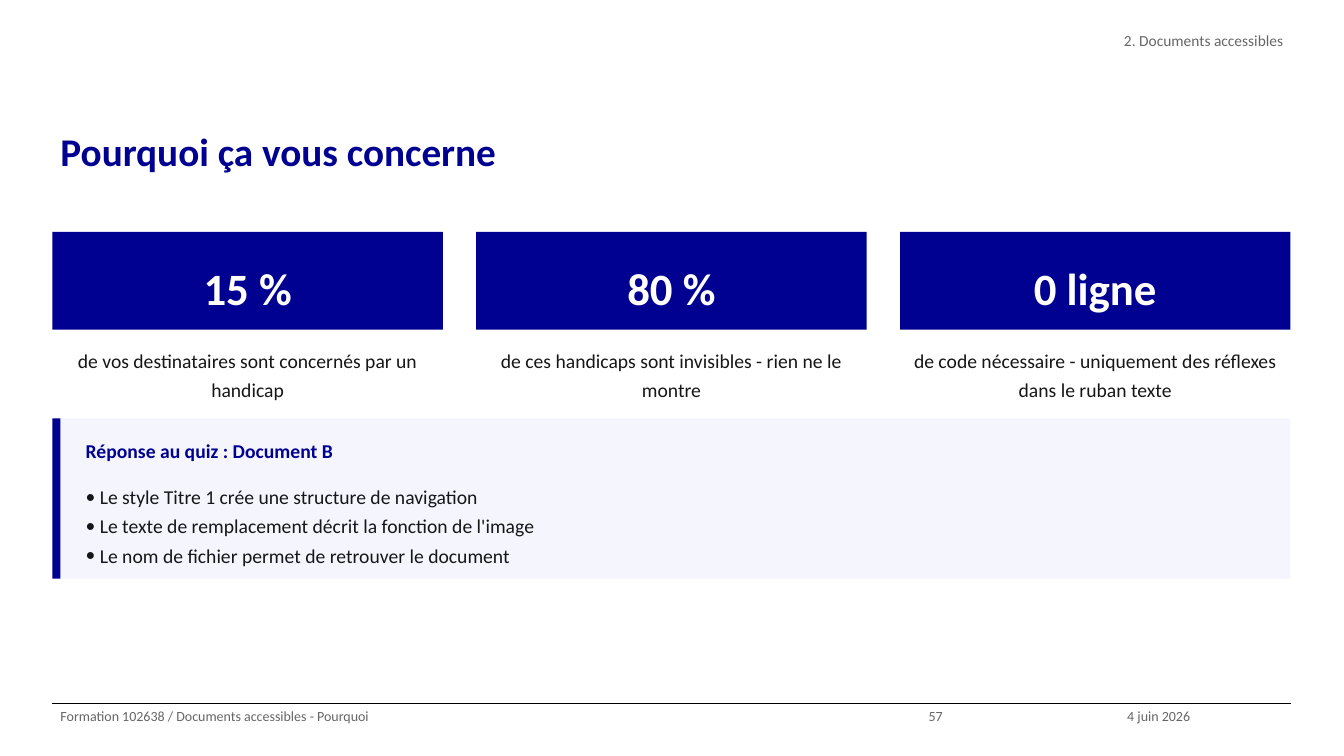
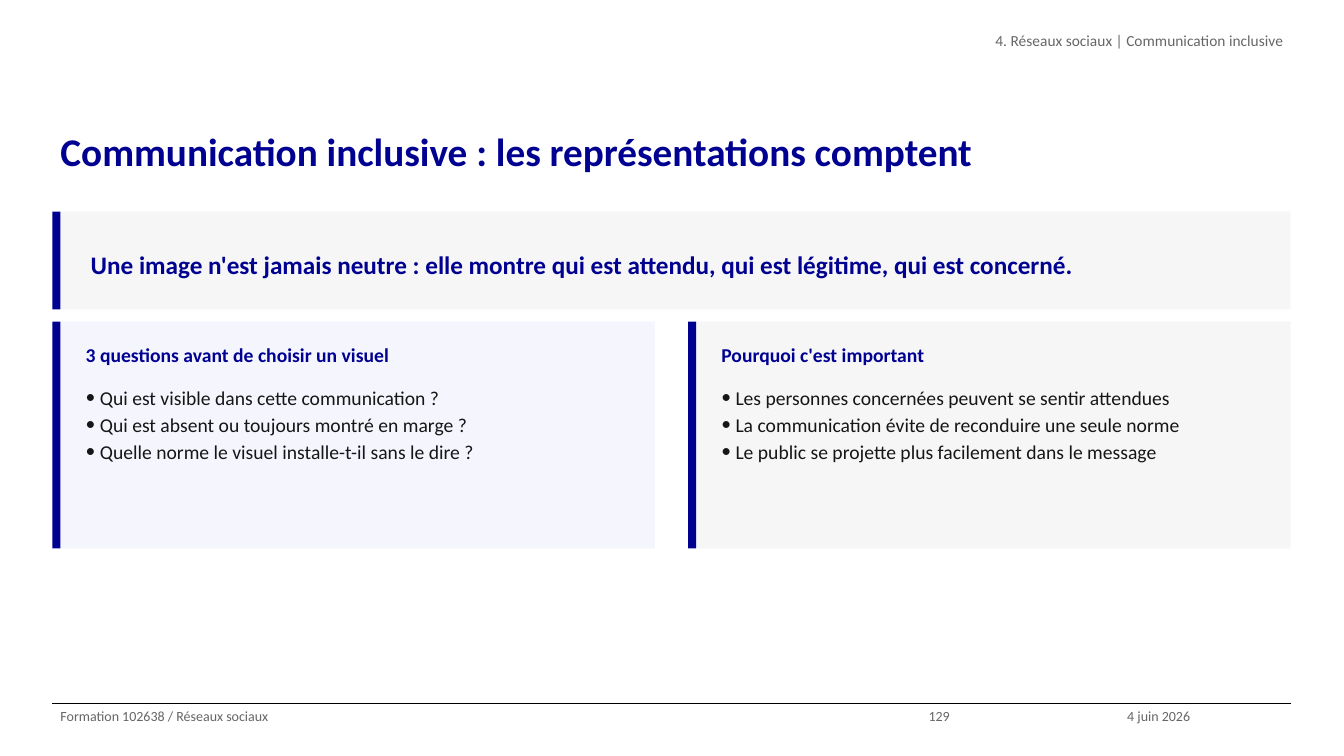
from lxml import etree
from pptx import Presentation
from pptx import util as u
from pptx.dml.color import RGBColor
from pptx.enum import shapes, text
from pptx.oxml.ns import qn

HUES = dict(navy="000091", ink="161616", grey="666666", white="FFFFFF",
            mist="F5F5FE", pale="F6F6F6", black="000000")
WIDE, HIGH = 13.33, 7.5
LEFT, SPAN, GAP, BAR = 0.52, 12.28, 0.33, 0.08
FOOT = 6.98
LAYOUT = 4
HEAD, LISTS = 1, (2, 4)

LOOKS = {
    "title": dict(size=28, bold=True, hue="navy"),
    "head": dict(size=11, hue="grey", align="RIGHT"),
    "foot": dict(size=10, hue="grey"),
    "stat": dict(size=32, bold=True, hue="white", align="CENTER", anchor="MIDDLE", pad=0.05),
    "note": dict(size=14, hue="ink", align="CENTER", pad=0.05),
    "quote": dict(size=18, bold=True, hue="navy", anchor="MIDDLE", pad=0.05),
    "label": dict(size=14, bold=True, hue="navy", pad=0.05),
    "list": dict(size=14, hue="ink", pad=0.05, bullet=True),
}

DATE = "4 juin 2026"
SLIDES = [
    dict(
        title="Pourquoi ça vous concerne",
        head="2. Documents accessibles",
        foot="Formation 102638 / Documents accessibles - Pourquoi",
        page="57",
        stats=[
            ("15 %", "de vos destinataires sont concernés par un handicap"),
            ("80 %", "de ces handicaps sont invisibles - rien ne le montre"),
            ("0 ligne", "de code nécessaire - uniquement des réflexes dans le ruban texte"),
        ],
        top=4.15, high=1.59, space=1.25,
        cards=[
            ("mist", "Réponse au quiz : Document B", [
                "Le style Titre 1 crée une structure de navigation",
                "Le texte de remplacement décrit la fonction de l'image",
                "Le nom de fichier permet de retrouver le document"]),
        ],
    ),
    dict(
        title="Communication inclusive : les représentations comptent",
        head="4. Réseaux sociaux | Communication inclusive",
        foot="Formation 102638 / Réseaux sociaux",
        page="129",
        quote="Une image n'est jamais neutre : elle montre qui est attendu, "
              "qui est légitime, qui est concerné.",
        top=3.19, high=2.25, space=1.15,
        cards=[
            ("mist", "3 questions avant de choisir un visuel", [
                "Qui est visible dans cette communication ?",
                "Qui est absent ou toujours montré en marge ?",
                "Quelle norme le visuel installe-t-il sans le dire ?"]),
            ("pale", "Pourquoi c'est important", [
                "Les personnes concernées peuvent se sentir attendues",
                "La communication évite de reconduire une seule norme",
                "Le public se projette plus facilement dans le message"]),
        ],
    ),
]


def rgb(hue):
    return RGBColor.from_string(HUES[hue])


def inches(*sizes):
    return [u.Inches(size) for size in sizes]


def cols(count):
    width = (SPAN - GAP * (count - 1)) / count
    return [(LEFT + i * (width + GAP), width) for i in range(count)]


def mark(para, bullet):
    props = para._p.get_or_add_pPr()
    indent = u.Inches(0.14) if bullet else 0
    props.set("marL", str(indent))
    props.set("indent", str(-indent))
    if bullet:
        etree.SubElement(props, qn("a:buFont")).set("typeface", "Calibri")
        etree.SubElement(props, qn("a:buChar")).set("char", "•")
    else:
        etree.SubElement(props, qn("a:buNone"))


def write(shape, look, *lines, space=1.25):
    form = LOOKS[look]
    frame = shape.text_frame
    pad = u.Inches(form.get("pad", 0))
    edge = u.Inches(0.08)
    looks = dict(word_wrap=True, auto_size=text.MSO_AUTO_SIZE.NONE,
                 margin_left=edge, margin_right=edge, margin_top=pad, margin_bottom=pad,
                 vertical_anchor=text.MSO_ANCHOR[form.get("anchor", "TOP")])
    for name, value in looks.items():
        setattr(frame, name, value)
    for i, line in enumerate(lines):
        para = frame.add_paragraph() if i else frame.paragraphs[0]
        flow = dict(alignment=text.PP_ALIGN[form.get("align", "LEFT")],
                    line_spacing=space, space_before=u.Pt(0), space_after=u.Pt(0))
        for name, value in flow.items():
            setattr(para, name, value)
        mark(para, form.get("bullet", False))
        run = para.add_run()
        run.text = line
        font = dict(name="Calibri", size=u.Pt(form["size"]), bold=form.get("bold", False))
        for name, value in font.items():
            setattr(run.font, name, value)
        run.font.color.rgb = rgb(form["hue"])


def box(slide, look, line, *area):
    write(slide.shapes.add_textbox(*inches(*area)), look, line)


def rect(slide, hue, *area):
    shape = slide.shapes.add_shape(shapes.MSO_SHAPE.RECTANGLE, *inches(*area))
    shape.shadow.inherit = False
    shape.fill.solid()
    shape.fill.fore_color.rgb = rgb(hue)
    shape.line.fill.background()
    return shape


def fill(slide, holder, look, lines, area, space=1.25):
    for name, value in zip(("left", "top", "width", "height"), inches(*area)):
        setattr(holder, name, value)
    write(holder, look, *lines, space=space)
    slide.shapes.element.append(holder.element)


def panel(slide, hue, left, top, width, high):
    rect(slide, hue, left + BAR, top, width - BAR, high)
    rect(slide, "navy", left, top, BAR, high)


def base(slide, page):
    fill(slide, slide.shapes.title, "title", [page["title"]], (LEFT, 1.15, SPAN, 1.05))
    fill(slide, slide.placeholders[HEAD], "head", [page["head"]], (4.83, 0.26, 7.98, 0.52))
    ends = inches(LEFT, FOOT, LEFT + SPAN, FOOT)
    rule = slide.shapes.add_connector(shapes.MSO_CONNECTOR.STRAIGHT, *ends)
    rule.line.color.rgb = rgb("black")
    rule.line.width = u.Pt(0.8)
    etree.SubElement(rule._element.spPr, qn("a:effectLst"))
    left = LEFT
    for line, width in ((page["foot"], 8.61), (page["page"], 1.97), (DATE, 1.71)):
        box(slide, "foot", line, left, FOOT, width, HIGH - FOOT)
        left += width


def stats(slide, items):
    for (left, width), (value, note) in zip(cols(len(items)), items):
        write(rect(slide, "navy", left, 2.3, width, 0.97), "stat", value)
        box(slide, "note", note, left, 3.35, width, 0.7)


def quote(slide, line):
    panel(slide, "pale", LEFT, 2.1, SPAN, 0.97)
    box(slide, "quote", line, LEFT + 0.3, 2.2, SPAN - 0.4, 0.78)


def cards(slide, page):
    top, high, items = page["top"], page["high"], page["cards"]
    for (left, width), key, (hue, label, lines) in zip(cols(len(items)), LISTS, items):
        panel(slide, hue, left, top, width, high)
        inner, room = left + 0.25, width - 0.35
        box(slide, "label", label, inner, top + 0.1, room, 0.35)
        area = inner, top + 0.55, room, high - 0.65
        fill(slide, slide.placeholders[key], "list", lines, area, page["space"])


def main():
    deck = Presentation()
    deck.slide_width, deck.slide_height = inches(WIDE, HIGH)
    for page in SLIDES:
        slide = deck.slides.add_slide(deck.slide_layouts[LAYOUT])
        base(slide, page)
        if "stats" in page:
            stats(slide, page["stats"])
        if "quote" in page:
            quote(slide, page["quote"])
        cards(slide, page)
        for holder in list(slide.placeholders):
            if not holder.text_frame.text:
                slide.shapes.element.remove(holder.element)
    deck.save("out.pptx")


if __name__ == "__main__":
    main()
